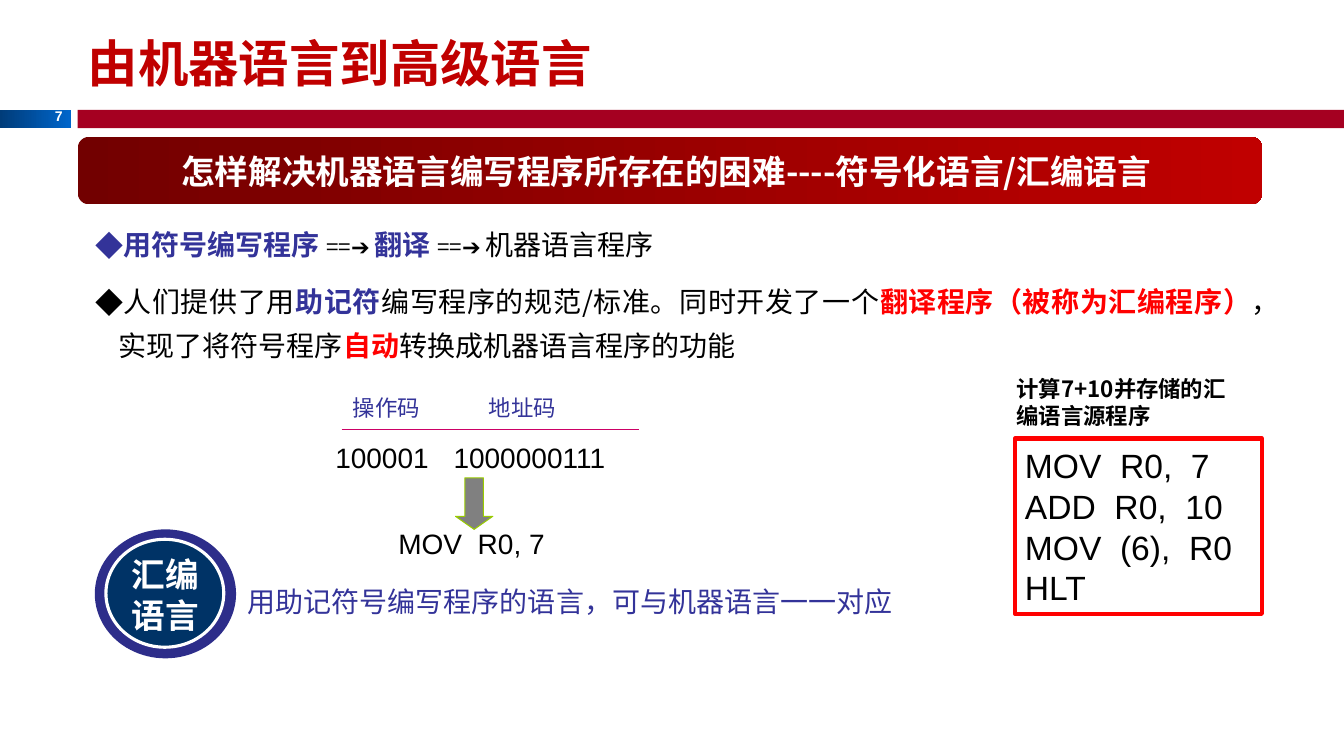
from dataclasses import dataclass
from typing import Optional

from lxml.etree import SubElement
from pptx import Presentation
from pptx.dml.color import RGBColor
from pptx.enum.shapes import MSO_CONNECTOR, MSO_SHAPE
from pptx.enum.text import MSO_ANCHOR, PP_ALIGN
from pptx.oxml.ns import qn
from pptx.util import Cm, Pt

BLACK = RGBColor(0x00, 0x00, 0x00)
WHITE = RGBColor(0xFF, 0xFF, 0xFF)
INDIGO = RGBColor(0x33, 0x33, 0x99)
RED = RGBColor(0xFF, 0x00, 0x00)
TITLE = RGBColor(0xC0, 0x00, 0x00)
CRIMSON = RGBColor(0xA5, 0x00, 0x21)
PINK = RGBColor(0xCC, 0x00, 0x66)
GRAY = RGBColor(0x80, 0x80, 0x80)
LIME = RGBColor(0x99, 0xCC, 0x00)
RING = RGBColor(0x2D, 0x2D, 0x8A)
NAVY = RGBColor(0x00, 0x33, 0x66)
BLUES = (RGBColor(0x00, 0x3C, 0x79), RGBColor(0x00, 0x66, 0xCC))
REDS = (RGBColor(0x72, 0x00, 0x00), TITLE)
NOTO, ARIAL = "Noto Sans CJK SC", "Arial"
LEFT, MID, RIGHT = PP_ALIGN.LEFT, PP_ALIGN.CENTER, PP_ALIGN.RIGHT


@dataclass
class Run:
    text: str
    size: float
    color: RGBColor = BLACK
    bold: bool = False
    font: str = NOTO


@dataclass
class Para:
    runs: list[Run]
    align: PP_ALIGN = LEFT
    line: Optional[float] = None
    before: float = 0
    bullet: bool = False
    tab: Optional[float] = None


@dataclass
class Block:
    box: tuple[float, float, float, float]
    paras: list[Para]
    anchor: MSO_ANCHOR = MSO_ANCHOR.MIDDLE


@dataclass
class Form:
    kind: MSO_SHAPE
    box: tuple[float, float, float, float]
    fill: Optional[RGBColor] = None
    grad: Optional[tuple[RGBColor, RGBColor]] = None
    line: Optional[RGBColor] = None
    width: float = 0
    adjust: tuple[float, ...] = ()


def draw_form(slide, form: Form) -> None:
    shape = slide.shapes.add_shape(form.kind, *map(Cm, form.box))
    shape.shadow.inherit = False
    for i, value in enumerate(form.adjust):
        shape.adjustments[i] = value
    if form.grad:
        shape.fill.gradient()
        shape.fill.gradient_angle = 0
        for stop, color in zip(shape.fill.gradient_stops, form.grad):
            stop.color.rgb = color
        for stop, place in zip(shape.fill.gradient_stops, (0, 1)):
            stop.position = place
    else:
        shape.fill.solid()
        shape.fill.fore_color.rgb = form.fill
    if form.line is None:
        shape.line.fill.background()
    else:
        shape.line.color.rgb = form.line
        shape.line.width = Pt(form.width)


def add_run(para, run: Run) -> None:
    item = para.add_run()
    item.text = run.text
    font = item.font
    font.name, font.size, font.bold = run.font, Pt(run.size), run.bold
    font.color.rgb = run.color
    SubElement(font._element, qn("a:ea"), typeface=NOTO)


def fill_para(para, data: Para) -> None:
    props = para._p.get_or_add_pPr()
    if data.bullet:
        props.set("marL", str(Cm(0.58)))
        props.set("indent", str(-Cm(0.58)))
        SubElement(props, qn("a:buFont"), typeface=NOTO)
        SubElement(props, qn("a:buChar"), char="◆")
    if data.tab:
        tabs = SubElement(props, qn("a:tabLst"))
        SubElement(tabs, qn("a:tab"), pos=str(Cm(data.tab)), algn="l")
    para.alignment = data.align
    if data.line:
        para.line_spacing = Pt(data.line)
    if data.before:
        para.space_before = Pt(data.before)
    for run in data.runs:
        add_run(para, run)


def draw_block(slide, block: Block) -> None:
    frame = slide.shapes.add_textbox(*map(Cm, block.box)).text_frame
    frame.word_wrap = True
    frame.vertical_anchor = block.anchor
    for i, data in enumerate(block.paras):
        fill_para(frame.add_paragraph() if i else frame.paragraphs[0], data)


def draw_rule(slide, left: float, right: float, top: float) -> None:
    rule = slide.shapes.add_connector(
        MSO_CONNECTOR.STRAIGHT, Cm(left), Cm(top), Cm(right), Cm(top))
    rule.line.color.rgb = PINK
    rule.line.width = Pt(0.75)
    SubElement(rule._element.spPr, qn("a:effectLst"))


FORMS = [
    # Header bars and banner
    Form(MSO_SHAPE.RECTANGLE, (0, 2.77, 1.8, 0.46), grad=BLUES),
    Form(MSO_SHAPE.RECTANGLE, (1.96, 2.77, 31.91, 0.46), CRIMSON),
    Form(MSO_SHAPE.ROUNDED_RECTANGLE, (1.96, 3.45, 29.85, 1.7), grad=REDS),
    # Code frame and arrow
    Form(MSO_SHAPE.RECTANGLE, (25.58, 11.05, 6.22, 4.42), WHITE, line=RED, width=3),
    Form(MSO_SHAPE.DOWN_ARROW, (11.48, 12.04, 0.94, 1.3), GRAY,
         line=LIME, width=0.75, adjust=(0.5, 0.35)),
    # Round badge
    Form(MSO_SHAPE.DONUT, (2.39, 13.34, 3.56, 3.25), RING, adjust=(0.09,)),
    Form(MSO_SHAPE.OVAL, (2.67, 13.59, 2.97, 2.72), NAVY, line=WHITE, width=2.25),
]

CODE = ["MOV  R0,  7", "ADD  R0,  10", "MOV  (6),  R0", "HLT"]
STEP = Run("==➔ ", 16)

BLOCKS = [
    # Title, page number and banner
    Block((1.96, 0.51, 29.64, 2.11), [Para([Run("由机器语言到高级语言", 36, TITLE, True)])]),
    Block((0.89, 2.59, 0.94, 0.69), [Para([Run("7", 10, WHITE, True, ARIAL)], RIGHT)],
          MSO_ANCHOR.TOP),
    Block((1.96, 3.45, 29.85, 1.7), [Para([Run(
        "怎样解决机器语言编写程序所存在的困难----符号化语言/汇编语言 ", 24, WHITE, True)], MID)]),
    # Bullets
    Block((2.16, 5.61, 16.71, 1.09), [Para([
        Run("用符号编写程序 ", 20, INDIGO, True), STEP,
        Run("翻译 ", 20, INDIGO, True), STEP,
        Run("机器语言程序", 20)], bullet=True)]),
    Block((2.16, 6.78, 29.64, 2.49), [Para([
        Run("人们提供了用", 20),
        Run("助记符", 20, INDIGO, True),
        Run("编写程序的规范/标准。同时开发了一个", 20),
        Run("翻译程序（被称为汇编程序）", 20, RED, True),
        Run("，实现了将符号程序", 20),
        Run("自动", 20, RED, True),
        Run("转换成机器语言程序的功能", 20)], PP_ALIGN.JUSTIFY, 31, bullet=True)]),
    # Instruction example
    Block((8.64, 9.8, 6.12, 0.94),
          [Para([Run("操作码\t地址码", 16, INDIGO, font=ARIAL)], tab=3.43)]),
    Block((8.2, 10.74, 7.37, 3.73), [
        Para([Run("100001\t1000000111", 20, font=ARIAL)], line=31, tab=2.98),
        Para([Run("MOV  R0, 7", 20, font=ARIAL)], MID, 31, 30)], MSO_ANCHOR.TOP),
    # Source program
    Block((25.37, 9.32, 6.22, 1.63),
          [Para([Run("计算7+10并存储的汇编语言源程序", 16, bold=True)], line=19)]),
    Block((25.58, 11.05, 6.22, 4.42),
          [Para([Run(row, 24, font=ARIAL)], line=29) for row in CODE]),
    # Badge text and its meaning
    Block((2.69, 13.82, 2.95, 2.31), [Para([Run("汇编语言", 24, WHITE, True)], MID, 29)]),
    Block((5.99, 14.58, 16.89, 1.12),
          [Para([Run("用助记符号编写程序的语言，可与机器语言一一对应", 20, INDIGO)])]),
]


def main() -> None:
    deck = Presentation()
    deck.slide_width, deck.slide_height = Cm(33.87), Cm(19.05)
    slide = deck.slides.add_slide(deck.slide_layouts[6])
    for form in FORMS:
        draw_form(slide, form)
    draw_rule(slide, 8.61, 16.1, 10.82)
    for block in BLOCKS:
        draw_block(slide, block)
    deck.save("out.pptx")


if __name__ == "__main__":
    main()
